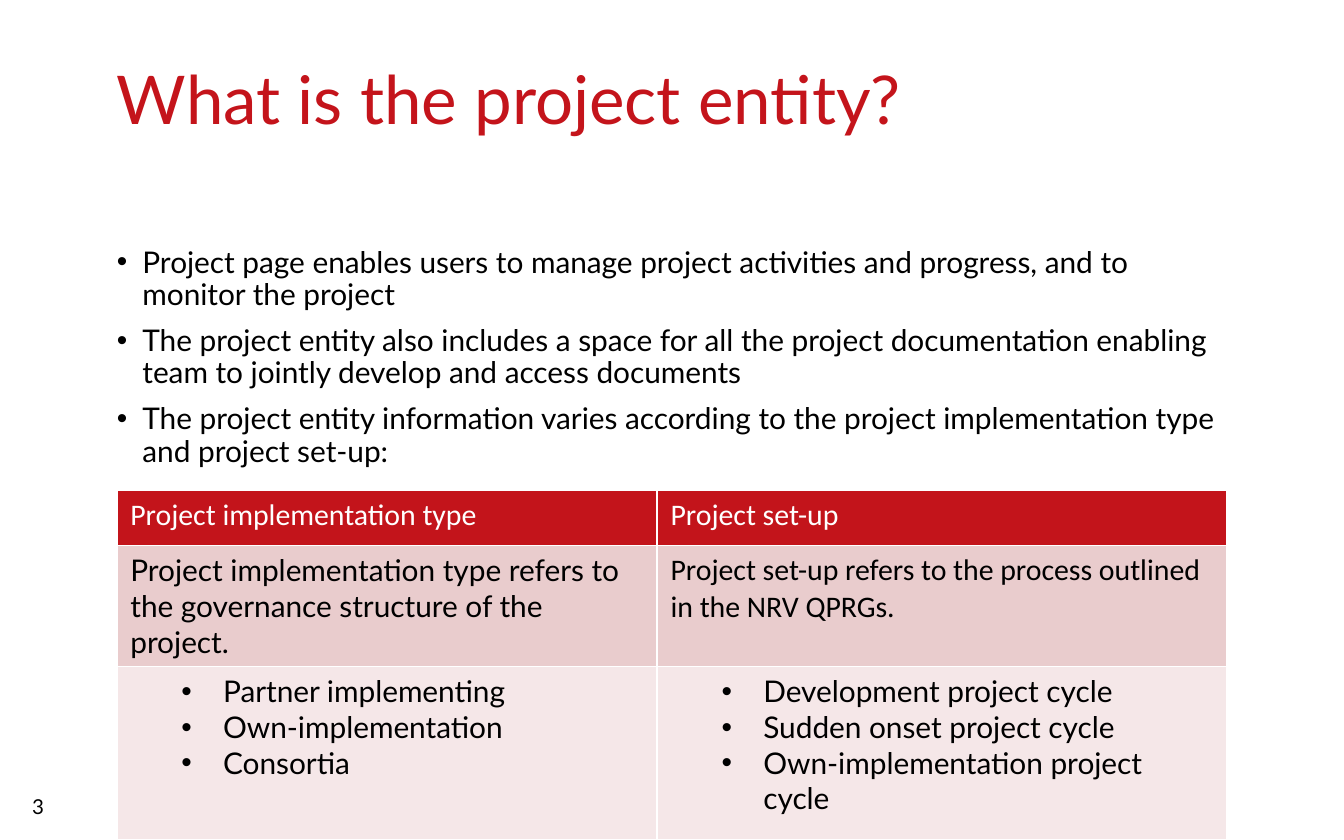
from lxml import etree
from pptx import Presentation
from pptx import util as u
from pptx.dml.color import RGBColor
from pptx.enum import text
from pptx.oxml.ns import qn

RED = RGBColor(0xC4, 0x14, 0x1B)
HEADER_RED = RGBColor(0xC3, 0x14, 0x1B)
ROSE = RGBColor(0xE9, 0xCC, 0xCD)
PALE_ROSE = RGBColor(0xF5, 0xE7, 0xE8)
BLACK = RGBColor(0, 0, 0)
WHITE = RGBColor(0xFF, 0xFF, 0xFF)

LEFT, WIDTH = 0.87, 8.26
TITLE = ["What is the project entity?"]
POINTS = [
    "Project page enables users to manage project activities and progress, and to monitor the project",
    "The project entity also includes a space for all the project documentation enabling team to jointly develop and access documents",
    "The project entity information varies according to the project implementation type and project set-up:",
]
PAGE_NUMBER = ["3"]
COLUMN_WIDTHS = [4.02, 4.24]
TABLE_ROWS = [
    dict(height=0.41, fill=HEADER_RED, color=WHITE, bullet=None, fonts=["Calibri", "Calibri"],
         cells=[["Project implementation type"], ["Project set-up"]]),
    dict(height=0.9, fill=ROSE, color=BLACK, bullet=None, fonts=["Lato", "Calibri"],
         cells=[["Project implementation type refers to the governance structure of the project."],
                ["Project set-up refers to the process outlined in the NRV QPRGs."]]),
    dict(height=1.29, fill=PALE_ROSE, color=BLACK, bullet=(0.69, 0.31), fonts=["Lato", "Lato"],
         cells=[["Partner implementing", "Own-implementation", "Consortia"],
                ["Development project cycle", "Sudden onset project cycle",
                 "Own-implementation project cycle"]]),
]


def apply_format(target, values):
    for name, value in values.items():
        setattr(target, name, value)


def add_bullet(para, margin, hanging):
    props = para._p.get_or_add_pPr()
    props.set("marL", str(u.Inches(margin)))
    props.set("indent", str(-u.Inches(hanging)))
    etree.SubElement(props, qn("a:buFont"), typeface="Arial")
    etree.SubElement(props, qn("a:buChar"), char="•")


def write(frame, lines, size, color, font="Lato", bullet=None, spacing=None, gap=None):
    for index, line in enumerate(lines):
        para = frame.paragraphs[0] if index == 0 else frame.add_paragraph()
        if spacing:
            para.line_spacing = spacing
        if gap and index:
            para.space_before = u.Pt(gap)
        if bullet:
            add_bullet(para, *bullet)
        span = para.add_run()
        span.text = line
        apply_format(span.font, dict(name=font, size=u.Pt(size)))
        span.font.color.rgb = color


def add_text(page, place, margins, lines, **style):
    box = page.shapes.add_textbox(*map(u.Inches, place))
    frame = box.text_frame
    sides = ("margin_left", "margin_top", "margin_right", "margin_bottom")
    apply_format(frame, dict(zip(sides, map(u.Inches, margins))))
    apply_format(frame, dict(word_wrap=True, vertical_anchor=text.MSO_ANCHOR.TOP))
    write(frame, lines, **style)


def add_borders(cell, color, points):
    props = cell._tc.get_or_add_tcPr()
    for index, side in enumerate(("lnL", "lnR", "lnT", "lnB")):
        line = etree.Element(qn(f"a:{side}"), w=str(u.Pt(points)))
        fill = etree.SubElement(line, qn("a:solidFill"))
        etree.SubElement(fill, qn("a:srgbClr"), val=str(color))
        props.insert(index, line)


def add_grid(page):
    heights = [row["height"] for row in TABLE_ROWS]
    place = map(u.Inches, (LEFT, 3.65, WIDTH, sum(heights)))
    table = page.shapes.add_table(len(heights), len(COLUMN_WIDTHS), *place).table
    for column, width in zip(table.columns, COLUMN_WIDTHS):
        column.width = u.Inches(width)
    for r, row in enumerate(TABLE_ROWS):
        table.rows[r].height = u.Inches(row["height"])
        for c, (lines, font) in enumerate(zip(row["cells"], row["fonts"])):
            cell = table.cell(r, c)
            cell.fill.solid()
            cell.fill.fore_color.rgb = row["fill"]
            add_borders(cell, WHITE, 1)
            write(cell.text_frame, lines, 16, row["color"], font, row["bullet"])


def main():
    deck = Presentation()
    apply_format(deck, dict(slide_width=u.Inches(10), slide_height=u.Inches(6.25)))
    page = deck.slides.add_slide(deck.slide_layouts[6])
    add_text(page, (LEFT, 0.52, WIDTH, 0.98), (0, 0, 0.04, 0), TITLE,
             size=36, color=RED, spacing=u.Pt(36.2))
    add_text(page, (LEFT, 1.84, WIDTH, 4.16), (0, 0, 0, 0), POINTS,
             size=16, color=BLACK, bullet=(0.19, 0.19), spacing=0.9, gap=7.5)
    add_text(page, (0.14, 5.86, 3, 0.4), (0.1, 0.05, 0.1, 0.05), PAGE_NUMBER,
             size=11, color=BLACK)
    add_grid(page)
    deck.save("out.pptx")


if __name__ == "__main__":
    main()
